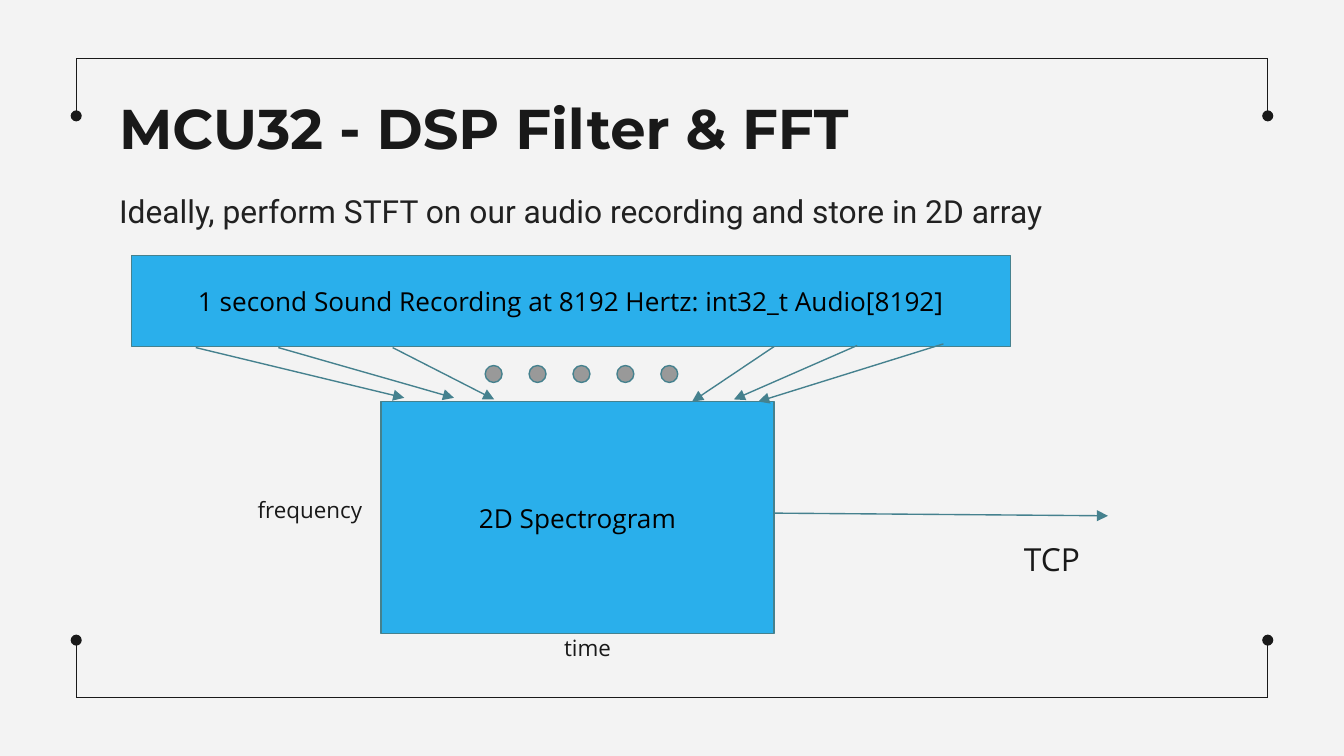
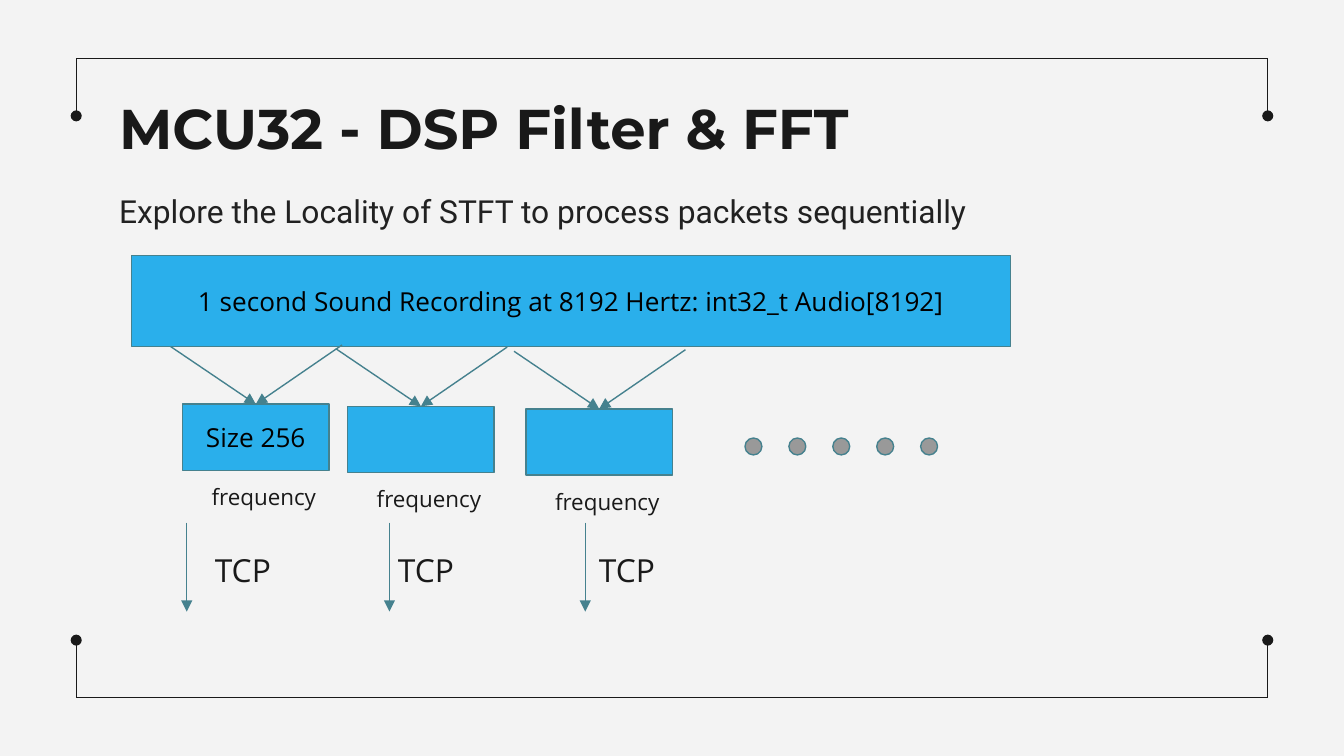
import lxml.etree
import pptx
import pptx.dml.color
import pptx.enum.shapes
import pptx.enum.text
import pptx.oxml.ns
import pptx.util

Cm = pptx.util.Cm
Pt = pptx.util.Pt
qn = pptx.oxml.ns.qn
color = pptx.dml.color.RGBColor.from_string
RECTANGLE = pptx.enum.shapes.MSO_SHAPE.RECTANGLE
OVAL = pptx.enum.shapes.MSO_SHAPE.OVAL

# Shared look
WIDTH, HEIGHT = 25.4, 14.29
BACKGROUND, INK, TEAL, BLUE, GREY = "F3F3F3", "191919", "45818E", "2AAFEB", "999999"
FONTS = {
    "title": ({"name": "Montserrat", "size": Pt(30), "bold": True}, INK),
    "body": ({"name": "Roboto", "size": Pt(17)}, "212121"),
    "block": ({"name": "Open Sans", "size": Pt(14)}, "000000"),
    "axis": ({"name": "Open Sans", "size": Pt(12)}, INK),
    "link": ({"name": "Open Sans", "size": Pt(17)}, INK),
}
FRAME_X = 1.44
FRAME_EDGES = [(1.11, 2.19), (13.18, 12.1)]  # edge and end of its side ticks
DOT_SIZE, DOT_STEP, DOT_COUNT = 0.32, 0.83, 5


def add_box(slide, box, text="", style="block", kind=None, fill=BLUE):
    """Add a filled shape of the given kind, or a plain text box without one."""
    lengths = [Cm(value) for value in box]
    if kind is None:
        shape = slide.shapes.add_textbox(*lengths)
    else:
        shape = slide.shapes.add_shape(kind, *lengths)
        shape.shadow.inherit = False
        shape.fill.solid()
        shape.fill.fore_color.rgb = color(fill)
        shape.line.color.rgb = color(TEAL)
        shape.line.width = Pt(0.75)
    if not text:
        return
    frame = shape.text_frame
    frame.word_wrap = True
    for side in ("left", "top", "right", "bottom"):
        setattr(frame, f"margin_{side}", Cm(0.25))
    paragraph = frame.paragraphs[0]
    paragraph.text = text
    if kind is not None:
        frame.vertical_anchor = pptx.enum.text.MSO_ANCHOR.MIDDLE
        paragraph.alignment = pptx.enum.text.PP_ALIGN.CENTER
    values, font_color = FONTS[style]
    for name, value in values.items():
        setattr(paragraph.font, name, value)
    paragraph.font.color.rgb = color(font_color)


def add_line(slide, start, end, line_color=TEAL, head="triangle"):
    points = [Cm(value) for value in (*start, *end)]
    connector = slide.shapes.add_connector(
        pptx.enum.shapes.MSO_CONNECTOR.STRAIGHT, *points)
    connector.line.color.rgb = color(line_color)
    connector.line.width = Pt(0.75)
    properties = connector.element.spPr
    if head:
        lxml.etree.SubElement(properties.find(qn("a:ln")), qn("a:tailEnd"), type=head)
    lxml.etree.SubElement(properties, qn("a:effectLst"))


presentation = pptx.Presentation()
presentation.slide_width = Cm(WIDTH)
presentation.slide_height = Cm(HEIGHT)

# Parts on both slides: background, frame, title, lead, recording, dots
leads = [
    ("Ideally, perform STFT on our audio recording and store in 2D array", 9.17, 6.91),
    ("Explore the Locality of STFT to process packets sequentially", 14.08, 8.28),
]
slides = []
for lead, dots_left, dots_top in leads:
    slide = presentation.slides.add_slide(presentation.slide_layouts[6])
    slides.append(slide)
    slide.background.fill.solid()
    slide.background.fill.fore_color.rgb = color(BACKGROUND)
    for edge_y, tick_y in FRAME_EDGES:
        add_line(slide, (FRAME_X, edge_y), (WIDTH - FRAME_X, edge_y), INK, None)
        for x in (FRAME_X, WIDTH - FRAME_X):
            add_line(slide, (x, edge_y), (x, tick_y), INK, "oval")
    add_box(slide, (2.0, 1.52, 21.41, 1.6), "MCU32 - DSP Filter & FFT", "title")
    add_box(slide, (2.0, 3.38, 21.41, 2.51), lead, "body")
    add_box(slide, (2.49, 4.83, 16.61, 1.72),
            "1 second Sound Recording at 8192 Hertz: int32_t Audio[8192]", kind=RECTANGLE)
    for index in range(DOT_COUNT):
        dot = (dots_left + index * DOT_STEP, dots_top, DOT_SIZE, DOT_SIZE)
        add_box(slide, dot, kind=OVAL, fill=GREY)

spectrogram_slide, packet_slide = slides

# Slide 1: whole recording into one spectrogram
add_box(spectrogram_slide, (7.2, 7.59, 7.43, 4.39), "2D Spectrogram", kind=RECTANGLE)
add_box(spectrogram_slide, (10.41, 11.73, 1.57, 0.99), "time", "axis")
add_box(spectrogram_slide, (4.62, 9.12, 2.59, 0.99), "frequency", "axis")
window_arrows = [
    ((3.7, 6.57), (7.64, 7.52)),
    ((5.26, 6.57), (8.58, 7.52)),
    ((7.42, 6.57), (9.34, 7.55)),
    ((14.63, 6.55), (13.08, 7.59)),
    ((16.2, 6.53), (13.87, 7.55)),
    ((17.83, 6.5), (14.33, 7.59)),
    ((14.63, 9.7), (20.94, 9.75)),  # spectrogram to TCP
]
for start, end in window_arrows:
    add_line(spectrogram_slide, start, end)
add_box(spectrogram_slide, (19.1, 9.96, 2.34, 1.09), "TCP", "link")

# Slide 2: overlapping windows, each sent as its own packet
packet_width, packet_height = 2.77, 1.25
packets = [  # left, top, label, x of TCP arrow, left of TCP label
    (3.45, 7.64, "Size 256", 3.53, 3.81),
    (6.57, 7.68, "", 7.36, 7.27),
    (9.94, 7.73, "", 11.06, 11.07),
]
for left, top, label, arrow_x, tcp_left in packets:
    center = left + packet_width / 2
    add_line(packet_slide, (center - 1.61, top - 1.09), (center, top))
    add_line(packet_slide, (center + 1.63, top - 1.12), (center, top))
    add_box(packet_slide, (left, top, packet_width, packet_height), label, kind=RECTANGLE)
    add_box(packet_slide, (left + 0.3, top + packet_height, 2.59, 0.99), "frequency", "axis")
    add_line(packet_slide, (arrow_x, 9.88), (arrow_x, 11.56))
    add_box(packet_slide, (tcp_left, 10.17, 2.34, 1.09), "TCP", "link")

presentation.save("out.pptx")
